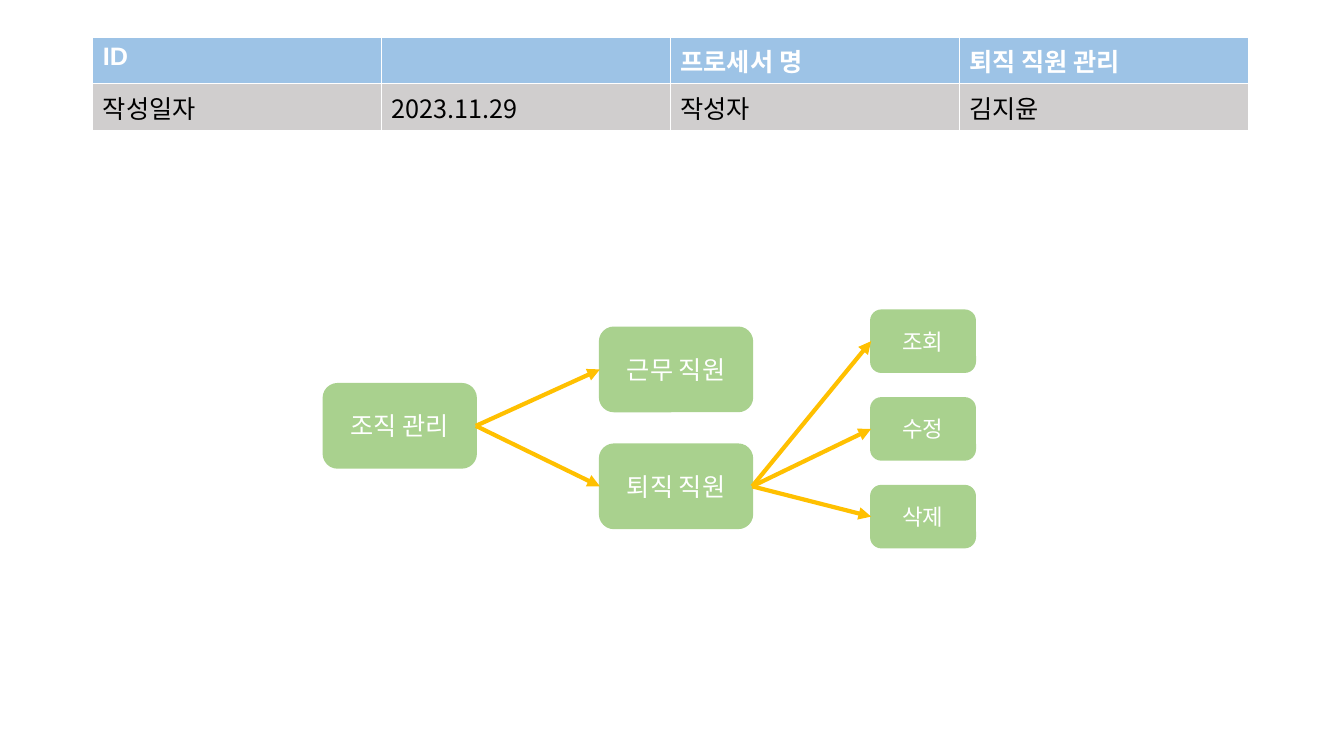
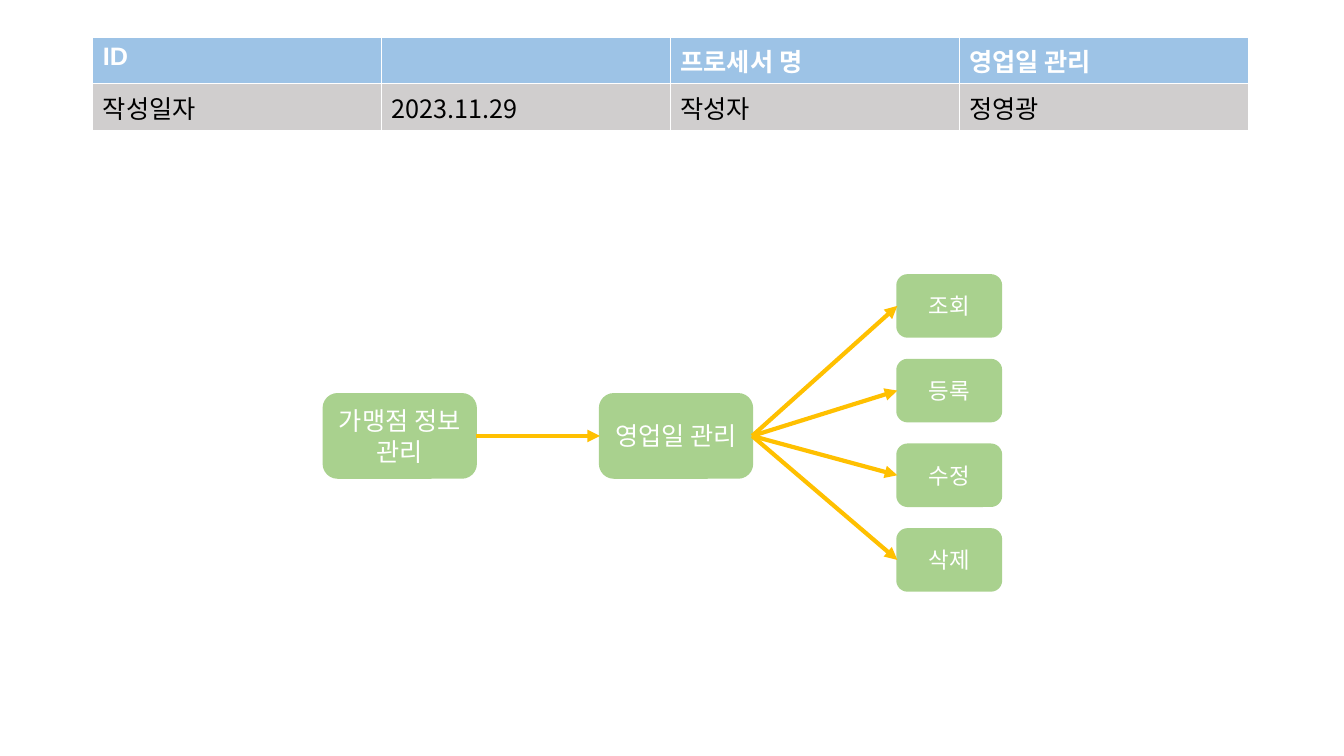
from lxml import etree
from pptx import Presentation
from pptx.dml.color import RGBColor
from pptx.enum.shapes import MSO_CONNECTOR as LINK, MSO_SHAPE as SHAPE
from pptx.enum.text import MSO_ANCHOR as ANCHOR, PP_ALIGN as ALIGN
from pptx.oxml.ns import qn
from pptx.util import Inches, Pt

WHITE, BLACK = "FFFFFF", "000000"
BLUE, GREY, GREEN, GOLD = "9DC3E6", "D0CECE", "A9D18E", "FFC000"
LATIN, HANGUL = "Arial", "Noto Sans CJK KR"
ROOT_X, MID_X = 3.21, 5.95
NODE, LEAF = (1.51, 0.83, 18), (1.03, 0.61, 16)
LEFT, RIGHT = 1, 3


def color(code):
    """Turn a hex string into a colour."""
    return RGBColor.from_string(code)


def paint(item, code):
    """Fill a shape or cell with one colour."""
    item.fill.solid()
    item.fill.fore_color.rgb = color(code)


def add_run(para, text, size, code=WHITE, bold=False, face=LATIN):
    """Append a styled run, with the Hangul font for Korean letters."""
    run = para.add_run()
    run.text = text
    font = run.font
    font.name, font.size, font.bold = face, Pt(size), bold
    font.color.rgb = color(code)
    latin = run._r.rPr.find(qn("a:latin"))
    east = etree.Element(qn("a:ea"), typeface=HANGUL)
    latin.addnext(east)


def add_head(slide, process, author):
    """Add the table that names the process and its author."""
    rows = [
        [[("ID", LATIN)], [], [("프로세서", LATIN), (" 명", HANGUL)],
         [(process, LATIN)]],
        [[("작성일자", LATIN)], [("2023.11.29", HANGUL)],
         [("작성자", LATIN)], [(author, LATIN)]],
    ]
    frame = slide.shapes.add_table(2, 4, Inches(0.92), Inches(0.37),
                                   Inches(11.46), Inches(0.84))
    table = frame.table
    styles = [(0.43, BLUE, WHITE, True), (0.41, GREY, BLACK, False)]
    for i, (height, back, ink, bold) in enumerate(styles):
        table.rows[i].height = Inches(height)
        for cell, runs in zip(table.rows[i].cells, rows[i]):
            paint(cell, back)
            for text, face in runs:
                add_run(cell.text_frame.paragraphs[0], text, 18, ink,
                        bold, face)


def add_box(slide, text, left, top, kind=NODE):
    """Add a rounded box with centred text."""
    width, height, size = kind
    box = slide.shapes.add_shape(SHAPE.ROUNDED_RECTANGLE, Inches(left),
                                 Inches(top), Inches(width), Inches(height))
    box.shadow.inherit = False
    paint(box, GREEN)
    box.line.color.rgb = color(GREEN)
    box.line.width = Pt(1.5)
    frame = box.text_frame
    frame.word_wrap = True
    frame.vertical_anchor = ANCHOR.MIDDLE
    para = frame.paragraphs[0]
    para.alignment = ALIGN.CENTER
    add_run(para, text, size)
    return box


def add_arrow(slide, start, end):
    """Join the right side of one box to the left side of another."""
    arrow = slide.shapes.add_connector(LINK.STRAIGHT, 0, 0, 0, 0)
    arrow.begin_connect(start, RIGHT)
    arrow.end_connect(end, LEFT)
    arrow.line.color.rgb = color(GOLD)
    arrow.line.width = Pt(3)
    etree.SubElement(arrow.line._get_or_add_ln(), qn("a:tailEnd"),
                     type="triangle")
    etree.SubElement(arrow._element.spPr, qn("a:effectLst"))


def add_leaves(slide, parent, names, left, top, step):
    """Add an evenly spaced column of actions, each joined to its parent."""
    for i, name in enumerate(names):
        leaf = add_box(slide, name, left, top + i * step, LEAF)
        add_arrow(slide, parent, leaf)


def add_page(deck, process, author):
    """Add a blank slide with its head table."""
    slide = deck.slides.add_slide(deck.slide_layouts[6])
    add_head(slide, process, author)
    return slide


def add_staff(deck):
    """Add the slide on retired staff."""
    slide = add_page(deck, "퇴직 직원 관리", "김지윤")
    root = add_box(slide, "조직 관리", ROOT_X, 3.81)
    active = add_box(slide, "근무 직원", MID_X, 3.25)
    retired = add_box(slide, "퇴직 직원", MID_X, 4.41)
    add_arrow(slide, root, active)
    add_arrow(slide, root, retired)
    add_leaves(slide, retired, ["조회", "수정", "삭제"], 8.64, 3.08, 0.87)


def add_days(deck):
    """Add the slide on business days."""
    slide = add_page(deck, "영업일 관리", "정영광")
    root = add_box(slide, "가맹점 정보 관리", ROOT_X, 3.91)
    days = add_box(slide, "영업일 관리", MID_X, 3.91)
    add_arrow(slide, root, days)
    add_leaves(slide, days, ["조회", "등록", "수정", "삭제"], 8.9, 2.73, 0.84)


def main():
    """Build and save the deck."""
    deck = Presentation()
    deck.slide_width, deck.slide_height = Inches(13.33), Inches(7.5)
    add_staff(deck)
    add_days(deck)
    deck.save("out.pptx")


if __name__ == "__main__":
    main()
